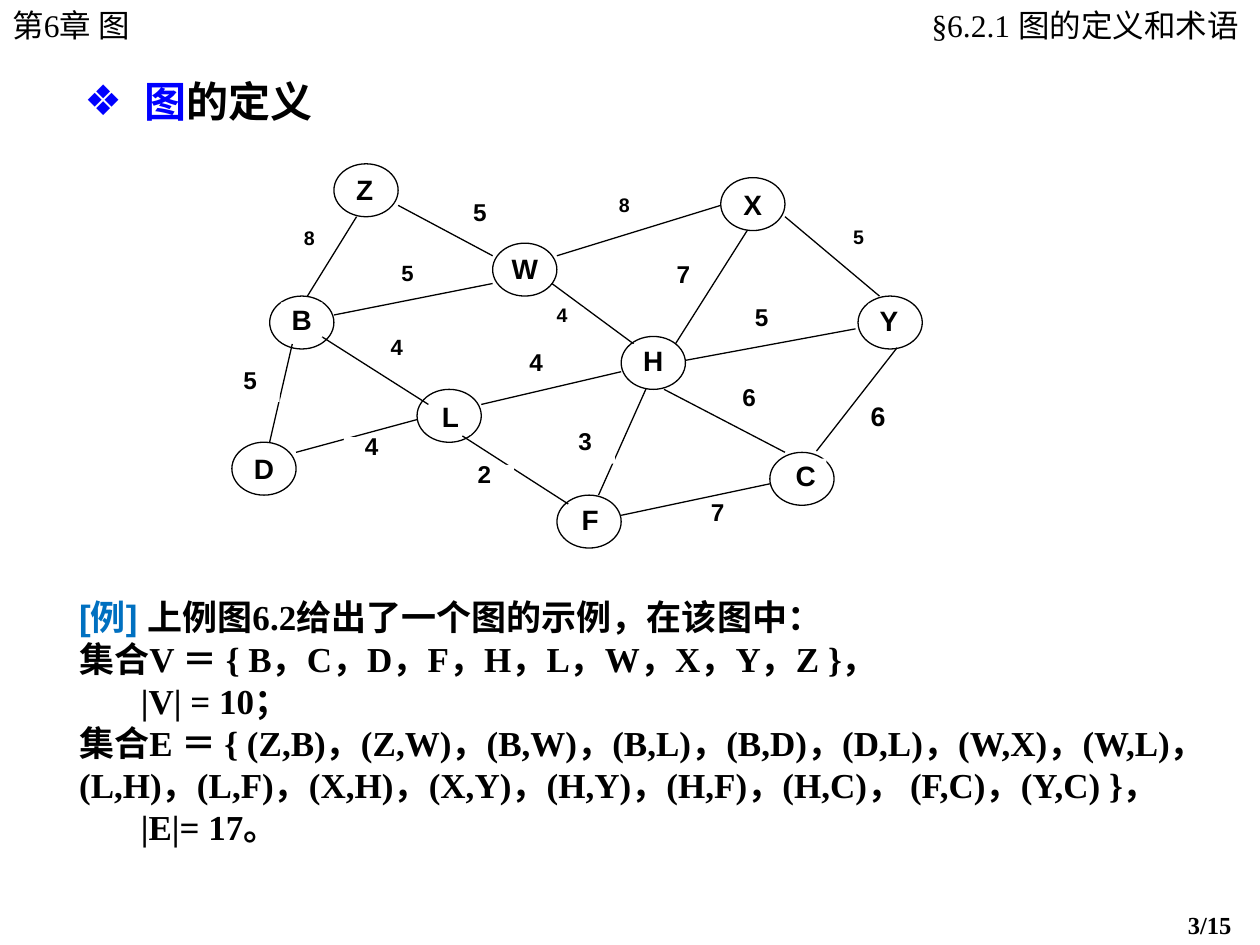
from typing import NamedTuple

import lxml.etree
import pptx
import pptx.dml.color
import pptx.enum.shapes
import pptx.enum.text
import pptx.oxml.ns
import pptx.util

Inches = pptx.util.Inches
Pt = pptx.util.Pt
qn = pptx.oxml.ns.qn
SHAPE = pptx.enum.shapes.MSO_SHAPE
ALIGN = pptx.enum.text.PP_ALIGN

COLORS = {"black": "000000", "white": "FFFFFF", "blue": "0000FF", "sky": "0070C0"}
SANS = "Arial"
SERIF = "Times New Roman"
NODE_W, NODE_H = 0.51, 0.42
NAME_W, NAME_H = 0.33, 0.28


class Run(NamedTuple):
    text: str
    font: str = SERIF
    color: str = "black"


class Para(NamedTuple):
    runs: tuple[Run, ...]
    margin: float = 0
    bullet: str = ""


class Box(NamedTuple):
    left: float
    top: float
    width: float
    height: float
    size: float
    paras: tuple[Para, ...]
    bold: bool = True
    align: ALIGN = ALIGN.LEFT
    pads: tuple[float, float] = (0.1, 0.1)


class Node(NamedTuple):
    name: str
    left: float
    top: float
    name_left: float
    name_top: float


class Edge(NamedTuple):
    x1: float
    y1: float
    x2: float
    y2: float


class Label(NamedTuple):
    text: str
    left: float
    top: float
    width: float
    height: float
    size: float = 13.9
    spacing: float = 0.8


BOXES = [
    Box(6.95, 0, 3.04, 0.4, 18, (Para((Run("§6.2.1 图的定义和术语"),)),),
        bold=False, align=ALIGN.RIGHT, pads=(0.12, 0.16)),
    Box(0.53, 4.68, 9.14, 2.44, 20, (
        Para((Run("[例] ", SANS, "sky"), Run("上例", SANS),
              Run("图6.2给出了一个图的示例，在该图中："))),
        Para((Run("集合V ＝ { B，C，D，F，H，L，W，X，Y，Z }，"),)),
        Para((Run("|V| = 10；"),), margin=0.49),
        Para((Run("集合E ＝ { (Z,B)，(Z,W)，(B,W)，(B,L)，(B,D)，(D,L)，"
                  "(W,X)，(W,L)，(L,H)，(L,F)，(X,H)，(X,Y)，(H,Y)，(H,F)，"
                  "(H,C)， (F,C)，(Y,C) }，"),)),
        Para((Run("|E|= 17。"),), margin=0.49),
    )),
    Box(0, 0, 1.74, 0.4, 18, (Para((Run("第6章 图"),)),), bold=False),
    Box(9.33, 7.17, 0.67, 0.34, 14, (Para((Run("3/15"),)),)),
    Box(0.55, 0.55, 3.2, 0.5, 24,
        (Para((Run("图", color="blue"), Run("的定义")), margin=0.48, bullet="❖"),),
        pads=(0.12, 0.16)),
]

NODES = [
    Node("B", 2.14, 2.35, 2.23, 2.4),
    Node("C", 6.11, 3.59, 6.23, 3.64),
    Node("D", 1.84, 3.51, 1.93, 3.58),
    Node("F", 4.42, 3.93, 4.52, 3.99),
    Node("L", 3.31, 3.09, 3.41, 3.17),
    Node("H", 4.93, 2.67, 5.02, 2.73),
    Node("W", 3.91, 1.93, 4, 2),
    Node("X", 5.72, 1.41, 5.81, 1.49),
    Node("Y", 6.81, 2.35, 6.89, 2.41),
    Node("Z", 2.65, 1.3, 2.73, 1.37),
]

EDGES = [
    Edge(3.16, 1.63, 3.91, 2.03),
    Edge(2.83, 1.72, 2.44, 2.35),
    Edge(4.42, 2.03, 5.72, 1.63),
    Edge(4.38, 2.25, 5.03, 2.73),
    Edge(6.23, 1.72, 6.98, 2.35),
    Edge(5.36, 2.73, 5.93, 1.83),
    Edge(5.44, 2.86, 6.79, 2.61),
    Edge(3.82, 3.21, 4.93, 2.95),
    Edge(5.27, 3.09, 6.23, 3.59),
    Edge(6.48, 3.58, 7.12, 2.76),
    Edge(4.93, 4.09, 6.11, 3.84),
    Edge(2.35, 3.59, 3.31, 3.33),
    Edge(3.67, 3.46, 4.51, 4),
    Edge(2.65, 2.5, 3.91, 2.25),
    Edge(2.55, 2.67, 3.4, 3.21),
    Edge(2.32, 2.73, 2.14, 3.51),
    Edge(4.75, 3.93, 5.13, 3.08),
]

WEIGHTS = [
    Label("8", 2.29, 1.83, 0.33, 0.19, 11.2),
    Label("8", 4.78, 1.57, 0.35, 0.2, 11.2),
    Label("7", 5.26, 2.1, 0.33, 0.25),
    Label("5", 5.81, 2.44, 0.47, 0.25),
    Label("6", 5.75, 3.08, 0.39, 0.24),
    Label("6", 6.8, 3.2, 0.34, 0.28, 15.3, 0.9),
    Label("5", 3.61, 1.61, 0.4, 0.25),
    Label("5", 6.63, 1.82, 0.37, 0.18, 11.2),
    Label("4", 2.96, 2.69, 0.38, 0.23, 12.6),
    Label("4", 2.73, 3.47, 0.44, 0.25),
    Label("4", 4.29, 2.44, 0.34, 0.22, 11.2),
    Label("5", 3.06, 2.1, 0.35, 0.23, 12.6),
    Label("3", 4.41, 3.43, 0.47, 0.25),
    Label("2", 3.61, 3.69, 0.47, 0.25),
    Label("7", 5.46, 3.99, 0.47, 0.25),
    Label("4", 4.08, 2.8, 0.35, 0.25),
    Label("5", 1.75, 2.94, 0.47, 0.25),
]


def tint(name: str) -> pptx.dml.color.RGBColor:
    return pptx.dml.color.RGBColor.from_string(COLORS[name])


def style(font, face: str, size: float, bold: bool, color: str) -> None:
    font.name = face
    font.size = Pt(size)
    font.bold = bold
    font.color.rgb = tint(color)


def indent(para, item: Para) -> None:
    props = para._p.get_or_add_pPr()
    props.set("marL", str(Inches(item.margin)))
    if item.bullet:
        props.set("indent", str(-Inches(item.margin)))
        lxml.etree.SubElement(props, qn("a:buFont"), typeface=SANS)
        lxml.etree.SubElement(props, qn("a:buChar"), char=item.bullet)


def draw_box(slide, box: Box) -> None:
    shape = slide.shapes.add_textbox(*map(Inches, box[:4]))
    frame = shape.text_frame
    frame.word_wrap = True
    frame.margin_left, frame.margin_right = map(Inches, box.pads)
    for i, item in enumerate(box.paras):
        para = frame.add_paragraph() if i else frame.paragraphs[0]
        para.alignment = box.align
        if item.margin:
            indent(para, item)
        for part in item.runs:
            run = para.add_run()
            run.text = part.text
            style(run.font, part.font, box.size, box.bold, part.color)


def draw_shape(group, kind: SHAPE, *place: float):
    shape = group.shapes.add_shape(kind, *map(Inches, place))
    shape.shadow.inherit = False
    shape.fill.solid()
    shape.fill.fore_color.rgb = tint("white")
    return shape


def draw_node(group, node: Node) -> None:
    oval = draw_shape(group, SHAPE.OVAL, node.left, node.top, NODE_W, NODE_H)
    oval.line.color.rgb = tint("black")
    oval.line.width = Pt(0.75)


def draw_edge(group, edge: Edge) -> None:
    kind = pptx.enum.shapes.MSO_CONNECTOR.STRAIGHT
    line = group.shapes.add_connector(kind, *map(Inches, edge))
    line.line.color.rgb = tint("black")
    line.line.width = Pt(0.75)
    lxml.etree.SubElement(line._element.spPr, qn("a:effectLst"))


def draw_label(group, label: Label) -> None:
    shape = draw_shape(group, SHAPE.RECTANGLE, *label[1:5])
    shape.line.fill.background()
    frame = shape.text_frame
    frame.margin_left = frame.margin_right = frame.margin_top = frame.margin_bottom = 0
    frame.word_wrap = True
    frame.vertical_anchor = pptx.enum.text.MSO_ANCHOR.TOP
    frame.text = label.text
    para = frame.paragraphs[0]
    para.alignment = ALIGN.CENTER
    para.line_spacing = label.spacing
    style(para.runs[0].font, SANS, label.size, True, "black")


def main() -> None:
    deck = pptx.Presentation()
    deck.slide_width, deck.slide_height = Inches(10), Inches(7.5)
    slide = deck.slides.add_slide(deck.slide_layouts[6])
    for box in BOXES:
        draw_box(slide, box)
    graph = slide.shapes.add_group_shape()
    for node in NODES:
        draw_node(graph, node)
    for edge in EDGES:
        draw_edge(graph, edge)
    names = [Label(n.name, n.name_left, n.name_top, NAME_W, NAME_H, 16, 1.0) for n in NODES]
    for label in WEIGHTS + names:
        draw_label(graph, label)
    deck.save("out.pptx")


if __name__ == "__main__":
    main()
